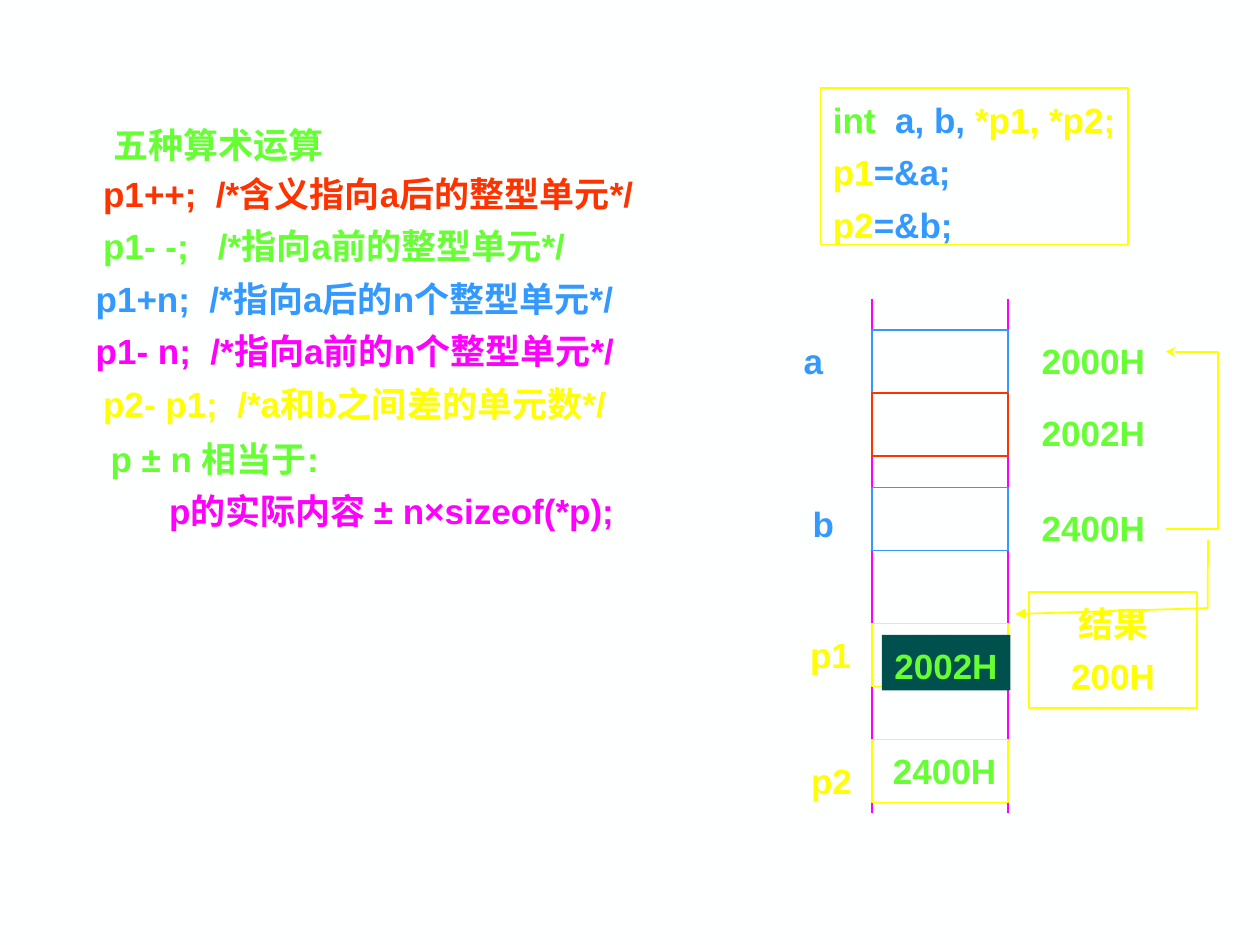
from lxml.etree import SubElement
from pptx import Presentation
from pptx.dml.color import RGBColor
from pptx.enum.shapes import MSO_CONNECTOR, MSO_SHAPE
from pptx.enum.text import MSO_ANCHOR, MSO_AUTO_SIZE, PP_ALIGN
from pptx.oxml.ns import qn
from pptx.util import Cm, Pt

COLORS = {"page": "FEFFFF", "green": "66FF33", "blue": "3399FF", "yellow": "FFFF00",
          "red": "FF3300", "magenta": "FF00FF", "teal": "00504E"}
FONT = {"name": "Arial", "size": Pt(20), "bold": True}
FRAME = {"margin_left": Cm(0.25), "margin_right": Cm(0.25), "margin_top": Cm(0.2),
         "margin_bottom": Cm(0.13), "auto_size": MSO_AUTO_SIZE.NONE,
         "vertical_anchor": MSO_ANCHOR.TOP}
LINE_HEIGHT = 1.12

# Content: each paragraph is a list of (text, colour); lengths are in cm
TITLE = ("五种算术运算", "green", (2.03, 2.29, 4.75, LINE_HEIGHT))
OPERATIONS = [  # text, colour, left, width
    ("p1++;  /*含义指向a后的整型单元*/", "red", 1.83, 11.86),
    ("p1- -;   /*指向a前的整型单元*/", "green", 1.83, 10.49),
    ("p1+n;  /*指向a后的n个整型单元*/", "blue", 1.68, 11.94),
    ("p1- n;  /*指向a前的n个整型单元*/", "magenta", 1.68, 11.96),
    ("p2- p1;  /*a和b之间差的单元数*/", "yellow", 1.83, 11.3),
]
OPERATIONS_TOP, OPERATIONS_STEP = 3.27, 1.06
EQUIVALENT = [[("p ± n 相当于:", "green")],
              [("p的实际内容 ± n×sizeof(*p);", "magenta")]]
CODE = [[("int  ", "green"), ("a, b, ", "blue"), ("*p1, *p2;", "yellow")],
        [("p1", "yellow"), ("=&a;", "blue")],
        [("p2", "yellow"), ("=&b;", "blue")]]
RESULT = [[("结果", "yellow")], [("200H", "yellow")]]

# Memory column
COLUMN_LEFT, COLUMN_RIGHT = 17.58, 20.32
COLUMN_TOP, COLUMN_BOTTOM = 6.02, 16.38
CELL_HEIGHT = 1.27
CELLS = [(6.65, "blue"), (9.83, "blue"), (12.57, "yellow"),
         (14.91, "yellow"), (7.92, "red")]
NAMES = [  # text, colour, left, top, width
    ("a", "blue", 15.95, 6.65, 0.89), ("b", "blue", 16.13, 9.93, 0.94),
    ("p1", "yellow", 16.08, 12.57, 1.32), ("p2", "yellow", 16.1, 15.11, 1.32),
]
ADDRESS_LEFT, ADDRESS_WIDTH = 20.75, 2.59
ADDRESSES = [("2000H", 6.65), ("2002H", 8.1), ("2400H", 10.01)]
BRACKET = [(23.5, 7.09), (24.56, 7.09), (24.56, 10.67), (23.5, 10.67)]
CALLOUT_POINTS = [0.188, -0.083, 0.136, 1.064, -0.453, 1.066]

deck = Presentation()
deck.slide_width, deck.slide_height = Cm(25.4), Cm(19.05)
page = deck.slides.add_slide(deck.slide_layouts[5])


def color(name):
    return RGBColor.from_string(COLORS[name])


def lengths(values):
    return [Cm(value) for value in values]


def apply(target, values):
    for name, value in values.items():
        setattr(target, name, value)


def write(shape, paragraphs, align=PP_ALIGN.LEFT, wrap=False):
    frame = shape.text_frame
    apply(frame, FRAME)
    frame.word_wrap = wrap
    for index, spans in enumerate(paragraphs):
        para = frame.add_paragraph() if index else frame.paragraphs[0]
        para.alignment = align
        para.space_before = Pt(6 if index else 0)
        for text, name in spans:
            span = para.add_run()
            span.text = text
            apply(span.font, FONT)
            span.font.color.rgb = color(name)
    return shape


def add_text(text, name, left, top, width):
    box = page.shapes.add_textbox(*lengths((left, top, width, LINE_HEIGHT)))
    return write(box, [[(text, name)]])


def outline(shape, name, arrow=None):
    shape.line.color.rgb = color(name)
    shape.line.width = Pt(1)
    if arrow:
        SubElement(shape.line._get_or_add_ln(), qn("a:headEnd"), type=arrow)


def add_box(bounds, line=None, fill=None, kind=MSO_SHAPE.RECTANGLE, arrow=None):
    box = page.shapes.add_shape(kind, *lengths(bounds))
    box.shadow.inherit = False
    if fill:
        box.fill.solid()
        box.fill.fore_color.rgb = color(fill)
    else:
        box.fill.background()
    if line:
        outline(box, line, arrow)
    else:
        box.line.fill.background()
    return box


# Background and title
page.background.fill.solid()
page.background.fill.fore_color.rgb = color("page")
text, name, bounds = TITLE
title = page.shapes.title
apply(title, dict(zip(("left", "top", "width", "height"), lengths(bounds))))
write(title, [[(text, name)]])

# Pointer operations
for row, (text, name, left, width) in enumerate(OPERATIONS):
    add_text(text, name, left, OPERATIONS_TOP + row * OPERATIONS_STEP, width)
equivalent = page.shapes.add_textbox(*lengths((1.98, 8.61, 11.33, 2.13)))
write(equivalent, EQUIVALENT)
indented = equivalent.text_frame.paragraphs[1]
indented._p.get_or_add_pPr().set("marL", str(Cm(1.18)))

# Declarations
write(add_box((16.54, 1.78, 6.2, 3.15), "yellow"), CODE)

# Memory column with its cells
for x in (COLUMN_LEFT, COLUMN_RIGHT):
    side = page.shapes.add_connector(
        MSO_CONNECTOR.STRAIGHT, *lengths((x, COLUMN_TOP, x, COLUMN_BOTTOM)))
    outline(side, "magenta")
    SubElement(side._element.spPr, qn("a:effectLst"))
for top, name in CELLS:
    add_box((COLUMN_LEFT, top, COLUMN_RIGHT - COLUMN_LEFT, CELL_HEIGHT), name)

# Names, addresses and stored values
for label in NAMES:
    add_text(*label)
for text, top in ADDRESSES:
    add_text(text, "green", ADDRESS_LEFT, top, ADDRESS_WIDTH)
add_text("2400H", "green", 17.75, 14.91, ADDRESS_WIDTH)
write(add_box((17.78, 12.8, ADDRESS_WIDTH, LINE_HEIGHT), fill="teal"),
      [[("2002H", "green")]])

# Bracket from b back to a
points = [tuple(lengths(point)) for point in BRACKET]
builder = page.shapes.build_freeform(*points[0])
builder.add_line_segments(points[1:], close=False)
bracket = builder.convert_to_shape()
bracket.shadow.inherit = False
bracket.fill.background()
outline(bracket, "yellow", "stealth")

# Result callout
callout = add_box((20.75, 11.94, 3.38, 2.34), "yellow",
                  kind=MSO_SHAPE.LINE_CALLOUT_2, arrow="triangle")
for index, value in enumerate(CALLOUT_POINTS):
    callout.adjustments[index] = value
write(callout, RESULT, PP_ALIGN.CENTER, wrap=True)

deck.save("out.pptx")
